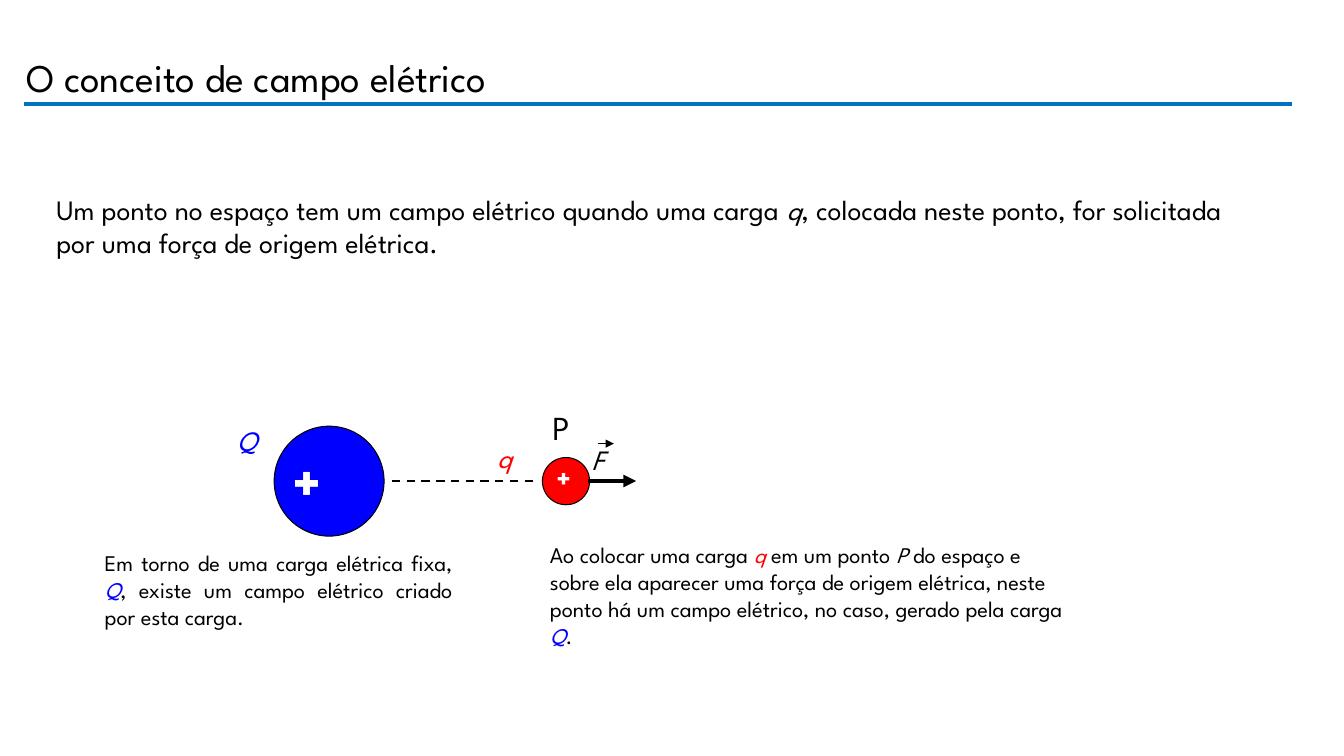
import pptx
import pptx.util
import pptx.dml.color
import pptx.enum.dml
import pptx.enum.shapes
import pptx.enum.text
import pptx.oxml
import pptx.oxml.ns

Cm, Pt = pptx.util.Cm, pptx.util.Pt
RGBColor = pptx.dml.color.RGBColor
ANCHOR, ALIGN = pptx.enum.text.MSO_ANCHOR, pptx.enum.text.PP_ALIGN

BLACK = RGBColor(0, 0, 0)
WHITE = RGBColor(255, 255, 255)
BLUE = RGBColor(0, 0, 255)
RED = RGBColor(255, 0, 0)
RULE = RGBColor(0, 0x70, 0xC0)
FACE = "League Spartan"


def add_text(shapes, box, size, runs, anchor=ANCHOR.TOP, **para):
    """Place a text box; runs are (text, format) pairs."""
    frame = shapes.add_textbox(*map(Cm, box)).text_frame
    frame.word_wrap = True
    frame.vertical_anchor = anchor
    line = frame.paragraphs[0]
    for key, value in para.items():
        setattr(line, key, value)
    for text, style in runs:
        run = line.add_run()
        run.text = text
        style = {"color": BLACK, **style}
        run.font.color.rgb = style.pop("color")
        for key, value in {"name": FACE, "size": Pt(size), **style}.items():
            setattr(run.font, key, value)


def add_line(shapes, start, end, width, color=BLACK, dash=None, arrow=False):
    line = shapes.add_connector(pptx.enum.shapes.MSO_CONNECTOR.STRAIGHT,
                                *map(Cm, start + end))
    line.line.color.rgb = color
    line.line.width = Pt(width)
    if dash:
        line.line.dash_style = dash
    props = line.element.spPr
    if arrow:
        tip = pptx.oxml.parse_xml(
            f'<a:tailEnd {pptx.oxml.ns.nsdecls("a")} type="triangle"/>')
        props.get_or_add_ln().append(tip)
    props.append(pptx.oxml.parse_xml(
        f'<a:effectLst {pptx.oxml.ns.nsdecls("a")}/>'))


def italic(text, color=BLACK):
    return text, {"italic": True, "color": color}


def add_charge(shapes, x, y, side, color, size, sign):
    """Draw a disc with a plus; the sign box is relative to the disc."""
    group = shapes.add_group_shape().shapes
    disc = group.add_shape(pptx.enum.shapes.MSO_SHAPE.OVAL,
                           *map(Cm, (x, y, side, side)))
    disc.shadow.inherit = False
    disc.fill.solid()
    disc.fill.fore_color.rgb = color
    disc.line.color.rgb = BLACK
    disc.line.width = Pt(0.75)
    left, top, wide, high = sign
    add_text(group, (x + left, y + top, wide, high), size,
             [("+", {"bold": True, "color": WHITE})])


def add_head(shapes, x, y, wide, high):
    # Title and the rule below it
    add_text(shapes, (x, y, 18.95, high), 28,
             [("O conceito de campo elétrico", {})],
             ANCHOR.MIDDLE, line_spacing=0.9)
    base = y + 1.73
    add_line(shapes, (x + 0.2, base), (x + wide, base), 2.25, RULE)


def add_scene(shapes, x, y):
    axis = y + 1.99
    # Fixed charge, test charge and the point
    add_charge(shapes, x + 1.19, y + 0.61, 2.77, BLUE, 40,
               (0.2, 0.39, 2.39, 1.96))
    add_charge(shapes, x + 7.95, y + 1.4, 1.19, RED, 20,
               (0.1, -0.05, 0.99, 1.12))
    add_text(shapes, (x + 7.95, y, 1.19, 1.3), 24, [("P", {})])
    # Force vector and its label
    group = shapes.add_group_shape().shapes
    add_text(group, (x + 8.94, y + 0.89, 1.19, 1.09), 20, [italic("F")])
    bar = y + 1.05
    add_line(group, (x + 9.34, bar), (x + 9.75, bar), 0.75, arrow=True)
    add_line(shapes, (x + 9.11, axis), (x + 10.31, axis), 3, arrow=True)
    # Charge labels
    for left, top, name, color in ((0, 0.41, "Q", BLUE),
                                   (6.55, 0.84, "q", RED)):
        add_text(shapes, (x + left, y + top, 1.98, 1.09), 20,
                 [italic(name, color)])
    # Distance between the charges
    add_line(shapes, (x + 4.16, axis), (x + 7.74, axis), 1.5,
             dash=pptx.enum.dml.MSO_LINE.DASH)


def add_notes(shapes, x, y):
    # Captions under the two charges
    add_text(shapes, (x, y + 0.21, 9.27, 2.31), 16, [
        ("Em torno de uma carga elétrica fixa, ", {}),
        italic("Q", BLUE),
        (", existe um campo elétrico criado por esta carga.", {}),
    ], alignment=ALIGN.JUSTIFY)
    add_text(shapes, (x + 11.22, y, 13.69, 3), 16, [
        ("Ao colocar uma carga ", {}),
        italic("q ", RED),
        ("em um ponto ", {}),
        italic("P "),
        ("do espaço e sobre ela aparecer uma força de origem elétrica, neste "
         "ponto há um campo elétrico, no caso, gerado pela carga ", {}),
        italic("Q", BLUE),
        (".", {}),
    ])


def main():
    deck = pptx.Presentation()
    deck.slide_width, deck.slide_height = Cm(33.87), Cm(19.05)
    shapes = deck.slides.add_slide(deck.slide_layouts[6]).shapes
    add_head(shapes, 0.41, 0.89, 32.15, 2.24)
    # Definition
    add_text(shapes, (1.17, 4.72, 30.81, 1.96), 20, [
        ("Um ponto no espaço tem um campo elétrico quando uma carga ", {}),
        italic("q"),
        (", colocada neste ponto, for solicitada por uma força de origem "
         "elétrica.", {}),
    ])
    add_scene(shapes, 5.72, 10.13)
    add_notes(shapes, 2.39, 13.51)
    deck.save("out.pptx")


if __name__ == "__main__":
    main()
